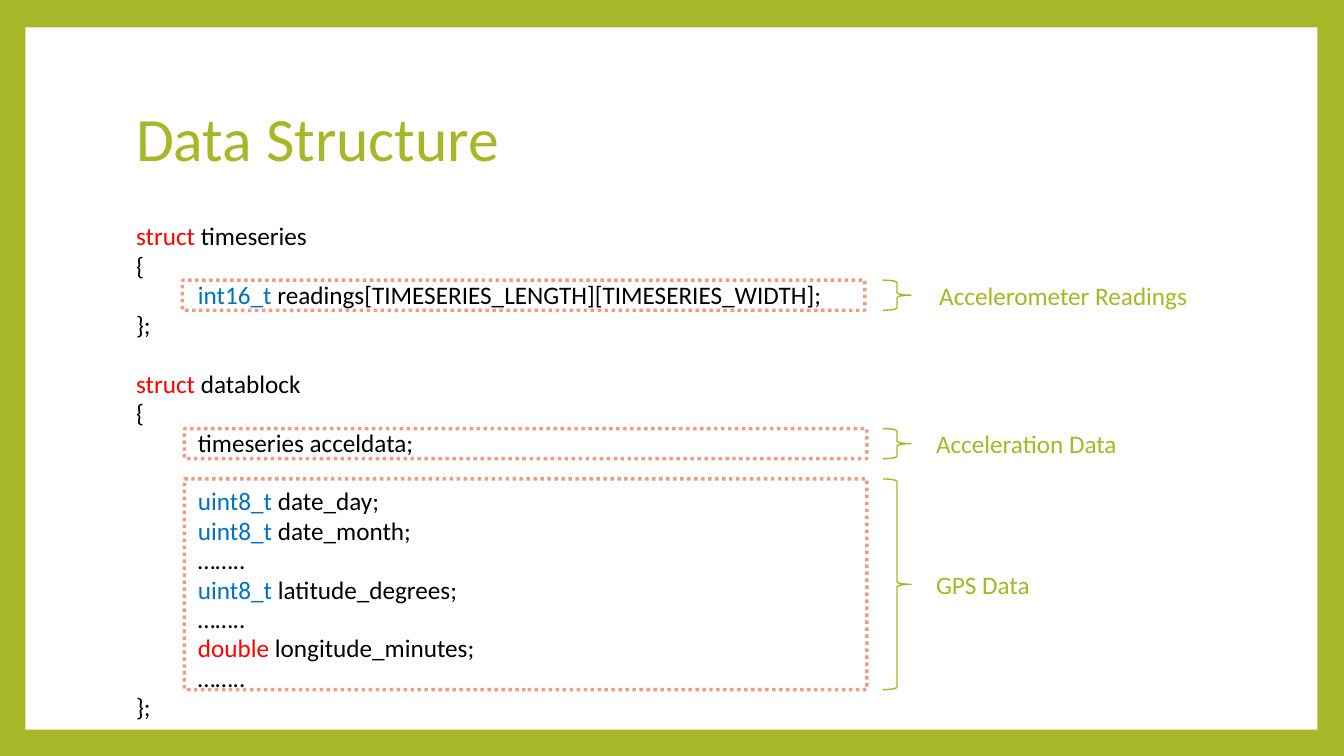
from lxml.etree import SubElement
from pptx import Presentation
from pptx.dml.color import RGBColor
from pptx.enum.dml import MSO_LINE
from pptx.enum.shapes import MSO_SHAPE
from pptx.enum.text import MSO_ANCHOR
from pptx.oxml.ns import qn
from pptx.util import Cm, Pt

COLORS = {
    "green": "A6B727",
    "white": "FFFFFF",
    "black": "000000",
    "red": "FF0000",
    "blue": "0070C0",
    "orange": "DF5327",
}
FIELD_INDENT = Cm(1.56)
LINE_PITCH = Pt(21)


def add_text(left, top, width, height, lines, size=18, wrap=True, **paragraph_format):
    frame = slide.shapes.add_textbox(Cm(left), Cm(top), Cm(width), Cm(height)).text_frame
    frame.word_wrap = wrap
    for index, line in enumerate(lines):
        paragraph = frame.paragraphs[0] if index == 0 else frame.add_paragraph()
        for name, value in paragraph_format.items():
            setattr(paragraph, name, value)
        for text, color in line:
            run = paragraph.add_run()
            run.text = text
            for name, value in {"name": "Calibri", "size": Pt(size)}.items():
                setattr(run.font, name, value)
            run.font.color.rgb = RGBColor.from_string(COLORS[color])
    return frame


def add_outline(kind, left, top, width, height, color, line_width):
    shape = slide.shapes.add_shape(kind, Cm(left), Cm(top), Cm(width), Cm(height))
    shape.shadow.inherit = False
    shape.fill.background()
    shape.line.color.rgb = RGBColor.from_string(COLORS[color])
    shape.line.width = Pt(line_width)
    return shape


presentation = Presentation()
presentation.slide_width = Cm(33.87)
presentation.slide_height = Cm(19.05)
slide = presentation.slides.add_slide(presentation.slide_layouts[6])
slide.background.fill.solid()
slide.background.fill.fore_color.rgb = RGBColor.from_string(COLORS["green"])

panel = slide.shapes.add_shape(MSO_SHAPE.RECTANGLE, Cm(0.64), Cm(0.69), Cm(32.56), Cm(17.7))
panel.shadow.inherit = False
panel.fill.solid()
panel.fill.fore_color.rgb = RGBColor.from_string(COLORS["white"])
panel.line.fill.background()

title = add_text(3.18, 1.7, 27.43, 3.76, [[("Data Structure", "green")]], 44, line_spacing=0.9)
title.vertical_anchor = MSO_ANCHOR.MIDDLE

ellipsis = [("……..", "black")]
structs = [
    ("timeseries", 5.46, 3.25, [
        [("int16_t", "blue"), (" readings[TIMESERIES_LENGTH][TIMESERIES_WIDTH];", "black")],
    ]),
    ("datablock", 9.17, 9.25, [
        [("timeseries acceldata;", "black")],
        [("uint8_t", "blue"), (" date_day;", "black")],
        [("uint8_t", "blue"), (" date_month;", "black")],
        ellipsis,
        [("uint8_t", "blue"), (" latitude_degrees;", "black")],
        ellipsis,
        [("double", "red"), (" longitude_minutes;", "black")],
        ellipsis,
    ]),
]
for struct_name, top, height, fields in structs:
    opening = [[("struct", "red"), (f" {struct_name}", "black")], [("{", "black")]]
    lines = opening + fields + [[("};", "black")]]
    code = add_text(3.18, top, 24.18, height, lines, line_spacing=LINE_PITCH)
    for paragraph in code.paragraphs[2:-1]:
        paragraph._p.get_or_add_pPr().set("marL", str(FIELD_INDENT))
        if "date_day" in paragraph.text:
            paragraph.space_before = LINE_PITCH

groups = [
    ("Accelerometer Readings", 4.6, 7.06, 0.76, 23.42, 6.99),
    ("Acceleration Data", 4.65, 10.8, 0.76, 23.34, 5.26),
    ("GPS Data", 4.65, 12.07, 5.31, 23.34, 3.07),
]
for label, left, top, height, label_left, label_width in groups:
    frame = add_outline(MSO_SHAPE.RECTANGLE, left, top, 17.2, height, "orange", 2.5)
    frame.line.dash_style = MSO_LINE.ROUND_DOT
    line_color = frame.line._ln.find(f".//{qn('a:srgbClr')}")
    SubElement(line_color, qn("a:alpha")).set("val", "56000")
    add_outline(MSO_SHAPE.RIGHT_BRACE, 22.25, top, 0.71, height, "green", 1)
    label_top = top + height / 2 - 0.51
    add_text(label_left, label_top, label_width, 1.02, [[(label, "green")]], wrap=False)

presentation.save("out.pptx")
